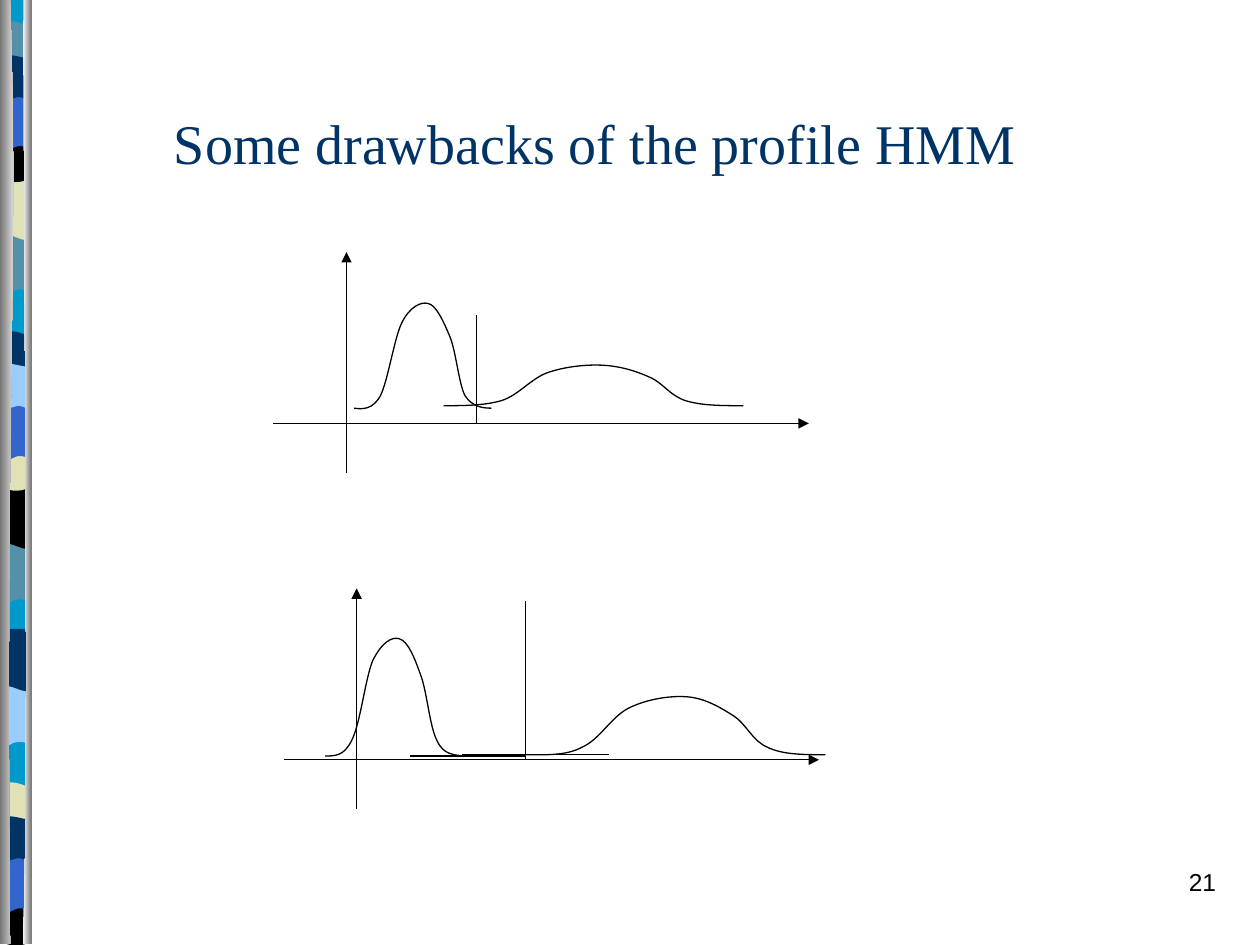
from lxml import etree
from pptx import Presentation, util as u
from pptx.dml.color import RGBColor
from pptx.enum import shapes, text
from pptx.oxml.ns import qn

PX = 9144
COLORS = {
    "cyan": "0099CC", "teal": "5490A8", "sand": "E1E1B7", "black": "000000",
    "blue": "3366CC", "navy": "003366", "sky": "99CCFF",
    "grey": "767676", "white": "FFFFFF",
}
COLORS = {name: RGBColor.from_string(value) for name, value in COLORS.items()}

presentation = Presentation()
presentation.slide_width, presentation.slide_height = 1000 * PX, 750 * PX
slide = presentation.slides.add_slide(presentation.slide_layouts[5])
master_tree = presentation.slide_master.shapes._spTree


def add_outline(start, segments, top=0, closed=False):
    points = [pair for segment in segments for pair in zip(segment[::2], segment[1::2])]
    builder = slide.shapes.build_freeform(start[0] * PX, (start[1] + top) * PX)
    builder.add_line_segments([(x * PX, (y + top) * PX) for x, y in points], close=closed)
    shape = builder.convert_to_shape()
    steps = iter(list(shape._element.iter(qn("a:lnTo"))))
    for segment in segments:
        first = next(steps)
        if len(segment) == 6:
            first.tag = qn("a:cubicBezTo")
            for step in (next(steps), next(steps)):
                first.append(step[0])
                step.getparent().remove(step)
    shape.shadow.inherit = False
    if closed:
        shape.line.fill.background()
        master_tree.append(shape._element)
    else:
        shape.fill.background()
        shape.line.color.rgb = COLORS["black"]
        shape.line.width = u.Pt(0.75)
    return shape


def add_line(x1, y1, x2, y2, arrow=False):
    connector = slide.shapes.add_connector(
        shapes.MSO_CONNECTOR.STRAIGHT, x1 * PX, y1 * PX, x2 * PX, y2 * PX)
    connector.line.color.rgb = COLORS["black"]
    connector.line.width = u.Pt(0.75)
    if arrow:
        etree.SubElement(connector.line._get_or_add_ln(), qn("a:tailEnd"), type="triangle")
    etree.SubElement(connector._element.spPr, qn("a:effectLst"))


BAND_OUTLINES = {
    "wave": [(24, 47), (8, 39, 5, 55, 1, 47), (1, 0)],
    "ripple": [(24, 47), (21, 55, 8, 41, 1, 47), (1, 0)],
    "lens": [(24, 24), (21, 28, 5, 28, 1, 24), (1, 0),
             (3, -5, 6, -4, 10, -4), (14, -4, 21, -1, 24, 0)],
    "bowl": [(24, 32), (21, 38, 5, 38, 1, 32), (1, 0), (15, 5, 20, 0, 24, 0)],
    "arch": [(24, 47), (21, 42, 19, 42, 15, 42), (12, 42, 5, 47, 1, 47), (1, 0)],
    "curl": [(24, 31), (23, 36, 19, 31, 15, 31), (12, 31, 4, 36, 1, 31), (1, 0),
             (4, -5, 17, 0, 21, 0)],
    "backing": [(24, 748), (1, 748), (1, 0)],
}
BANDS = [
    ("backing", -1, "cyan"),
    ("wave", 185, "teal"), ("ripple", 141, "sand"), ("lens", 21, "teal"),
    ("bowl", 108, "black"), ("arch", 74, "blue"), ("curl", 46, "navy"),
    ("wave", 431, "teal"), ("ripple", 386, "black"), ("lens", 267, "navy"),
    ("bowl", 353, "sand"), ("arch", 320, "blue"), ("curl", 291, "sky"),
    ("wave", 544, "sky"), ("ripple", 499, "navy"), ("lens", 625, "sand"),
    ("bowl", 714, "black"), ("arch", 679, "blue"), ("curl", 650, "navy"),
]
for outline, top, color in BANDS:
    band = add_outline((24, 0), BAND_OUTLINES[outline], top, closed=True)
    band.fill.solid()
    band.fill.fore_color.rgb = COLORS[color]

RAILS = [
    ((8, -1), [(15, 216, 4, 296, 8, 749), (0, 749), (0, -1)], ("grey", "white")),
    ((19, -1), [(18, 125, 24, 646, 18, 749), (25, 749), (25, 0)], ("white", "grey")),
]
for start, segments, colors in RAILS:
    rail = add_outline(start, segments, closed=True)
    rail.fill.gradient()
    rail.fill.gradient_angle = 0
    for stop, color, position in zip(rail.fill.gradient_stops, colors, (0, 1)):
        stop.color.rgb = COLORS[color]
        stop.position = position

for left, top in [(217, 200), (225, 467)]:
    add_line(left, top + 136, left + 425, top + 136, arrow=True)
    add_line(left + 58, top + 175, left + 58, top, arrow=True)

CURVES = [
    ((281, 324), [(288, 325, 296, 325, 302, 314), (308, 302, 313, 268, 319, 256),
                  (325, 244, 334, 239, 340, 241), (346, 242, 352, 255, 357, 267),
                  (362, 279, 364, 304, 369, 314), (375, 323, 383, 324, 390, 324)]),
    ((352, 322), [(368, 322, 384, 322, 398, 318), (411, 314, 421, 301, 434, 296),
                  (448, 291, 466, 289, 480, 290), (494, 291, 506, 295, 517, 300),
                  (527, 305, 532, 314, 544, 318), (557, 322, 573, 322, 590, 322)]),
    ((258, 600), [(266, 600, 273, 600, 279, 588), (286, 575, 290, 538, 296, 524),
                  (303, 510, 311, 505, 317, 507), (324, 509, 329, 522, 334, 536),
                  (339, 549, 341, 577, 347, 588), (352, 599, 360, 599, 368, 600)]),
    ((417, 599), [(433, 599, 449, 600, 462, 593), (476, 587, 485, 569, 499, 562),
                  (513, 555, 531, 552, 545, 553), (559, 554, 571, 561, 582, 568),
                  (592, 574, 597, 588, 609, 593), (621, 599, 638, 599, 655, 599)]),
]
for start, segments in CURVES:
    add_outline(start, segments)

for ends in [(378, 336, 378, 250), (417, 603, 417, 477),
             (417, 600, 325, 600), (367, 599, 483, 599)]:
    add_line(*ends)

title = slide.shapes.title
number = slide.shapes.add_textbox(767 * PX, 683 * PX, 208 * PX, 50 * PX)
LABELS = [
    (title, "Some drawbacks of the profile HMM", (128, 50, 850, 125),
     text.MSO_ANCHOR.MIDDLE, text.PP_ALIGN.LEFT,
     {"name": "Times New Roman", "size": u.Pt(32)}, "navy"),
    (number, "21", (767, 683, 208, 50),
     text.MSO_ANCHOR.TOP, text.PP_ALIGN.RIGHT,
     {"name": "Arial", "size": u.Pt(14)}, "black"),
]
for shape, wording, box, anchor, alignment, font, color in LABELS:
    for name, value in zip(("left", "top", "width", "height"), box):
        setattr(shape, name, value * PX)
    frame = shape.text_frame
    frame.word_wrap = True
    frame.auto_size = text.MSO_AUTO_SIZE.NONE
    frame.vertical_anchor = anchor
    frame.text = wording
    paragraph = frame.paragraphs[0]
    paragraph.alignment = alignment
    run = paragraph.runs[0]
    for name, value in font.items():
        setattr(run.font, name, value)
    run.font.color.rgb = COLORS[color]

presentation.save("out.pptx")
